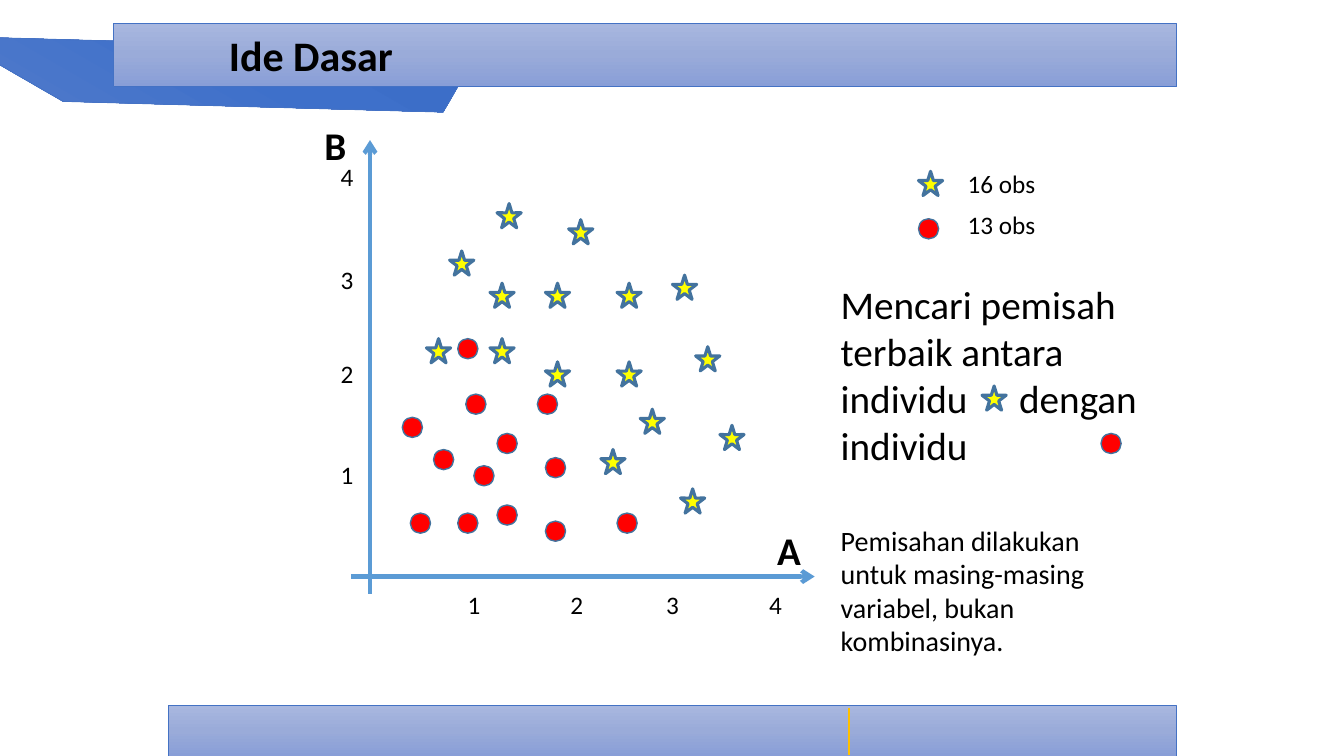
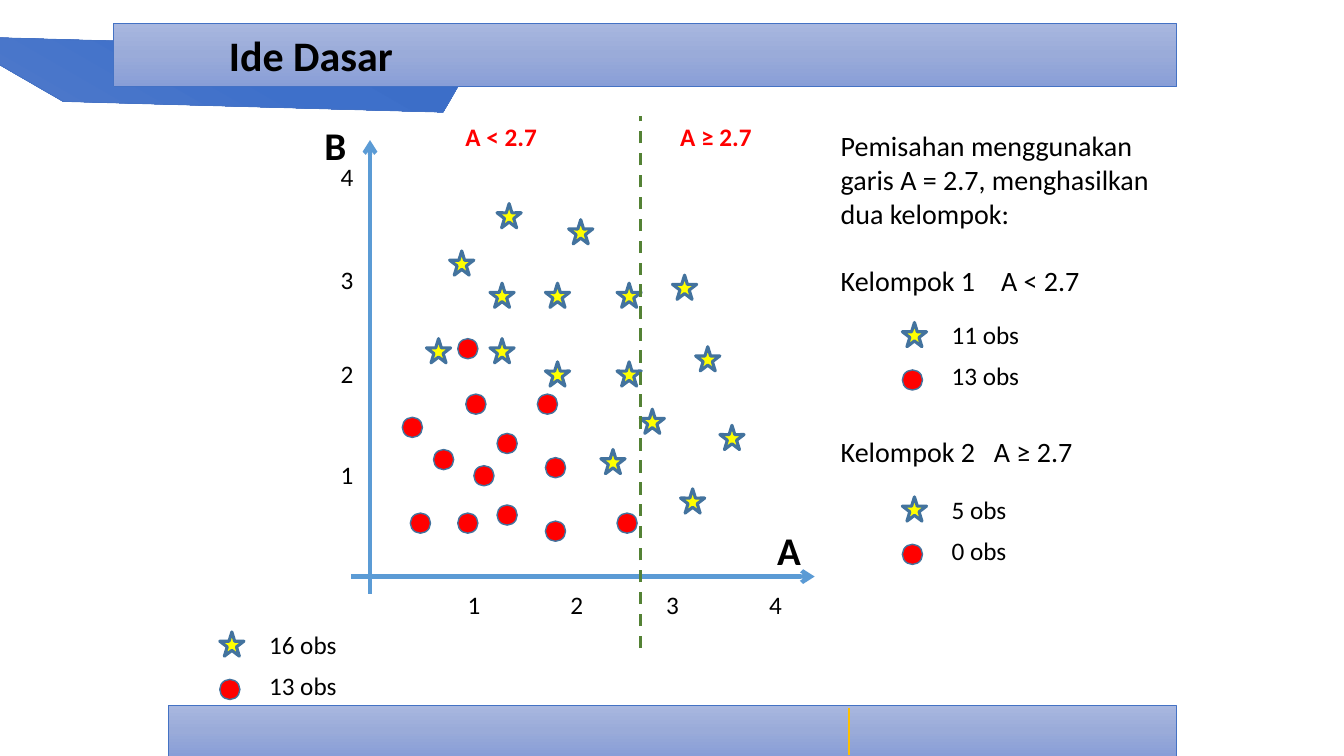
from copy import deepcopy
from dataclasses import dataclass

from pptx import Presentation
from pptx import util as u
from pptx.dml.color import RGBColor
from pptx.enum import dml, shapes, text
from pptx.oxml.ns import qn
from pptx.oxml.xmlchemy import OxmlElement


@dataclass(frozen=True)
class Theme:
    font: str = "Calibri"
    ink: str = "000000"
    accent: str = "FF0000"
    band: tuple = ("A8B7DF", "9AABD9", "889ED7")
    stripe: tuple = ("6183CB", "3E70CA", "3062BB")
    band_line: str = "4472C4"
    divider: str = "FFC000"
    axis: str = "5B9BD5"
    split: str = "548235"
    star: str = "FFFF00"
    dot: str = "FF0000"
    marker_line: str = "43739E"
    title_size: int = 30
    large: int = 28
    body: int = 20
    label: int = 18


THEME = Theme()
WIDTH, HEIGHT = 13.33, 7.5
RIGHT_EDGE = 11.67
STAR_SIZE, DOT_SIZE = 0.24, 0.2
SIDE_LEFT = 8.24

# Content: observations by left and top of each marker
TITLE = "Ide Dasar"
STARS = [
    (4.93, 2.02), (4.46, 2.49), (5.41, 2.81), (5.64, 2.18),
    (6.67, 2.73), (5.41, 3.59), (6.12, 2.81), (6.35, 4.06),
    (6.12, 3.59), (6.9, 3.44), (5.96, 4.46), (7.14, 4.22),
    (4.86, 3.36), (4.23, 3.36), (4.86, 2.81), (6.75, 4.85),
]
DOTS = [
    (4.62, 3.91), (5.33, 3.91), (4.93, 4.3), (4.3, 4.46), (4.93, 5.01),
    (5.41, 4.54), (4.7, 4.62), (6.12, 5.09), (5.41, 5.17), (4.54, 3.36),
    (3.99, 4.14), (4.54, 5.09), (4.07, 5.09),
]
AXES = [((3.67, 5.89), (3.67, 1.39)), ((3.48, 5.72), (8.08, 5.72))]
AXIS_NAMES = [("B", 3.12, 1.15), ("A", 7.61, 5.17)]
TICKS_A = [4.54, 5.56, 6.51, 7.53]
TICKS_B = [4.51, 3.51, 2.57, 1.55]

GOAL = [{"text": "Mencari pemisah terbaik antara individu\tdengan individu", "tab": 1.77}]
METHOD = [{"text": "Pemisahan dilakukan untuk masing-masing variabel, bukan kombinasinya."}]
RESULT = [
    {"text": "Pemisahan menggunakan garis A = 2.7, menghasilkan dua kelompok:"},
    {"text": "Kelompok 1\tA < 2.7", "before": 24, "tab": 1.59},
    {"text": "Kelompok 2\tA ≥ 2.7", "before": 98, "tab": 1.52},
]
SPLIT_LABELS = [("A < 2.7", 4.38), ("A ≥ 2.7", 6.51)]
LEGEND_ALL = ("16 obs", "13 obs")
GROUP_LEGENDS = [(("11 obs", "13 obs"), 3.2), (("5 obs", "0 obs"), 4.93)]


# Drawing helpers
def rgb(value):
    return RGBColor.from_string(value)


def inches(*values):
    return [u.Inches(value) for value in values]


def write(frame, paragraphs, size=THEME.label, color=THEME.ink, bold=False, align=None):
    frame.word_wrap = True
    for index, item in enumerate(paragraphs):
        para = frame.add_paragraph() if index else frame.paragraphs[0]
        if "tab" in item:
            stops = OxmlElement("a:tabLst")
            stop = OxmlElement("a:tab")
            stop.set("pos", str(u.Inches(item["tab"])))
            stop.set("algn", "l")
            stops.append(stop)
            para._p.get_or_add_pPr().append(stops)
        if "before" in item:
            para.space_before = u.Pt(item["before"])
        if align is not None:
            para.alignment = align
        span = para.add_run()
        span.text = item["text"]
        span.font.name = THEME.font
        span.font.size = u.Pt(size)
        span.font.bold = bold
        span.font.color.rgb = rgb(color)


def add_text(parent, content, left, top, width, height, **style):
    box = parent.add_textbox(*inches(left, top, width, height))
    paragraphs = [{"text": content}] if isinstance(content, str) else content
    write(box.text_frame, paragraphs, **style)


def add_shape(parent, kind, left, top, width, height, fill, line, weight):
    shape = parent.add_shape(kind, *inches(left, top, width, height))
    shape.shadow.inherit = False
    if isinstance(fill, str):
        shape.fill.solid()
        shape.fill.fore_color.rgb = rgb(fill)
    else:
        shape.fill.gradient()
        shape.fill.gradient_angle = 270
        stops = shape._element.spPr.find(".//" + qn("a:gsLst"))
        stops.insert(1, deepcopy(stops[0]))
        for index, (stop, color) in enumerate(zip(shape.fill.gradient_stops, fill)):
            stop.position = index / (len(fill) - 1)
            stop.color.rgb = rgb(color)
    shape.line.color.rgb = rgb(line)
    shape.line.width = u.Pt(weight)
    return shape


def add_line(parent, start, end, color, weight, arrow=False, dash=None):
    line = parent.add_connector(shapes.MSO_CONNECTOR.STRAIGHT, *inches(*start, *end))
    line.line.color.rgb = rgb(color)
    line.line.width = u.Pt(weight)
    if dash is not None:
        line.line.dash_style = dash
    if arrow:
        tip = OxmlElement("a:tailEnd")
        tip.set("type", "arrow")
        line.line._get_or_add_ln().append(tip)
    line._element.spPr.append(OxmlElement("a:effectLst"))


def add_star(parent, left, top):
    add_shape(parent, shapes.MSO_SHAPE.STAR_5_POINT, left, top, STAR_SIZE, STAR_SIZE,
              THEME.star, THEME.marker_line, 2.25)


def add_dot(parent, left, top):
    add_shape(parent, shapes.MSO_SHAPE.FLOWCHART_CONNECTOR, left, top, DOT_SIZE, DOT_SIZE,
              THEME.dot, THEME.marker_line, 1)


def add_legend(page, labels, left, top):
    group = page.shapes.add_group_shape().shapes
    add_star(group, left, top)
    add_dot(group, left, top + 0.47)
    for row, label in enumerate(labels):
        add_text(group, label, left + 0.39, top - 0.08 + 0.41 * row, 1.1, 0.4)


# Bands, footer and title shared by the slides
def add_page(deck):
    page = deck.slides.add_slide(deck.slide_layouts[5])
    rectangle = shapes.MSO_SHAPE.RECTANGLE
    add_shape(page.shapes, rectangle, 1.67, 7, RIGHT_EDGE - 1.67, HEIGHT - 7,
              THEME.band, THEME.band_line, 0.5)
    add_line(page.shapes, (8.42, 7.02), (8.42, 7.49), THEME.divider, 1)
    stripe = add_shape(page.shapes, shapes.MSO_SHAPE.DIAGONAL_STRIPE, -0.18, -0.81, 4.61, 2.49,
                       THEME.stripe, THEME.band_line, 0.5)
    stripe.adjustments[0] = 0.72
    stripe.rotation = 210
    add_shape(page.shapes, rectangle, 1.12, 0.23, RIGHT_EDGE - 1.12, 0.63,
              THEME.band, THEME.band_line, 0.5)

    title = page.shapes.title
    title.left, title.top, title.width, title.height = inches(2.17, -0.08, 9, 1.25)
    title.text_frame.auto_size = text.MSO_AUTO_SIZE.NONE
    title.text_frame.vertical_anchor = text.MSO_ANCHOR.MIDDLE
    write(title.text_frame, [{"text": TITLE}], size=THEME.title_size, bold=True,
          align=text.PP_ALIGN.JUSTIFY)
    page.shapes._spTree.append(title._element)
    return page


# Scatter diagram shared by the slides
def add_scatter(page):
    group = page.shapes.add_group_shape().shapes
    for start, end in AXES:
        add_line(group, start, end, THEME.axis, 3, arrow=True)
    ticks = [(3.28, top) for top in TICKS_B], [(left, 5.8) for left in TICKS_A]
    for places in ticks:
        for number, (left, top) in enumerate(places, 1):
            add_text(group, str(number), left, top, 0.24, 0.4)
    for place in STARS:
        add_star(group, *place)
    for place in DOTS:
        add_dot(group, *place)
    for name, left, top in AXIS_NAMES:
        add_text(group, name, left, top, 0.47, 0.57, size=THEME.large, bold=True)


def build_goal(deck):
    page = add_page(deck)
    add_legend(page, LEGEND_ALL, 9.11, 1.7)
    add_text(page.shapes, GOAL, SIDE_LEFT, 2.73, 3.2, 1.99, size=THEME.large)
    add_star(page.shapes, 9.74, 3.83)
    add_dot(page.shapes, 10.92, 4.3)
    add_text(page.shapes, METHOD, SIDE_LEFT, 5.14, 3.15, 1.45, size=THEME.body)
    add_scatter(page)


def build_split(deck):
    page = add_page(deck)
    add_legend(page, LEGEND_ALL, 2.18, 6.27)
    add_text(page.shapes, RESULT, SIDE_LEFT, 1.23, RIGHT_EDGE - SIDE_LEFT, 3.8, size=THEME.body)
    add_scatter(page)
    add_line(page.shapes, (6.35, 6.43), (6.35, 1.15), THEME.split, 2.25,
             dash=dml.MSO_LINE.DASH)
    for label, left in SPLIT_LABELS:
        add_text(page.shapes, label, left, 1.15, 1.18, 0.4, color=THEME.accent, bold=True,
                 align=text.PP_ALIGN.CENTER)
    for labels, top in GROUP_LEGENDS:
        add_legend(page, labels, 8.95, top)


def main():
    deck = Presentation()
    deck.slide_width, deck.slide_height = inches(WIDTH, HEIGHT)
    build_goal(deck)
    build_split(deck)
    deck.save("out.pptx")


if __name__ == "__main__":
    main()
